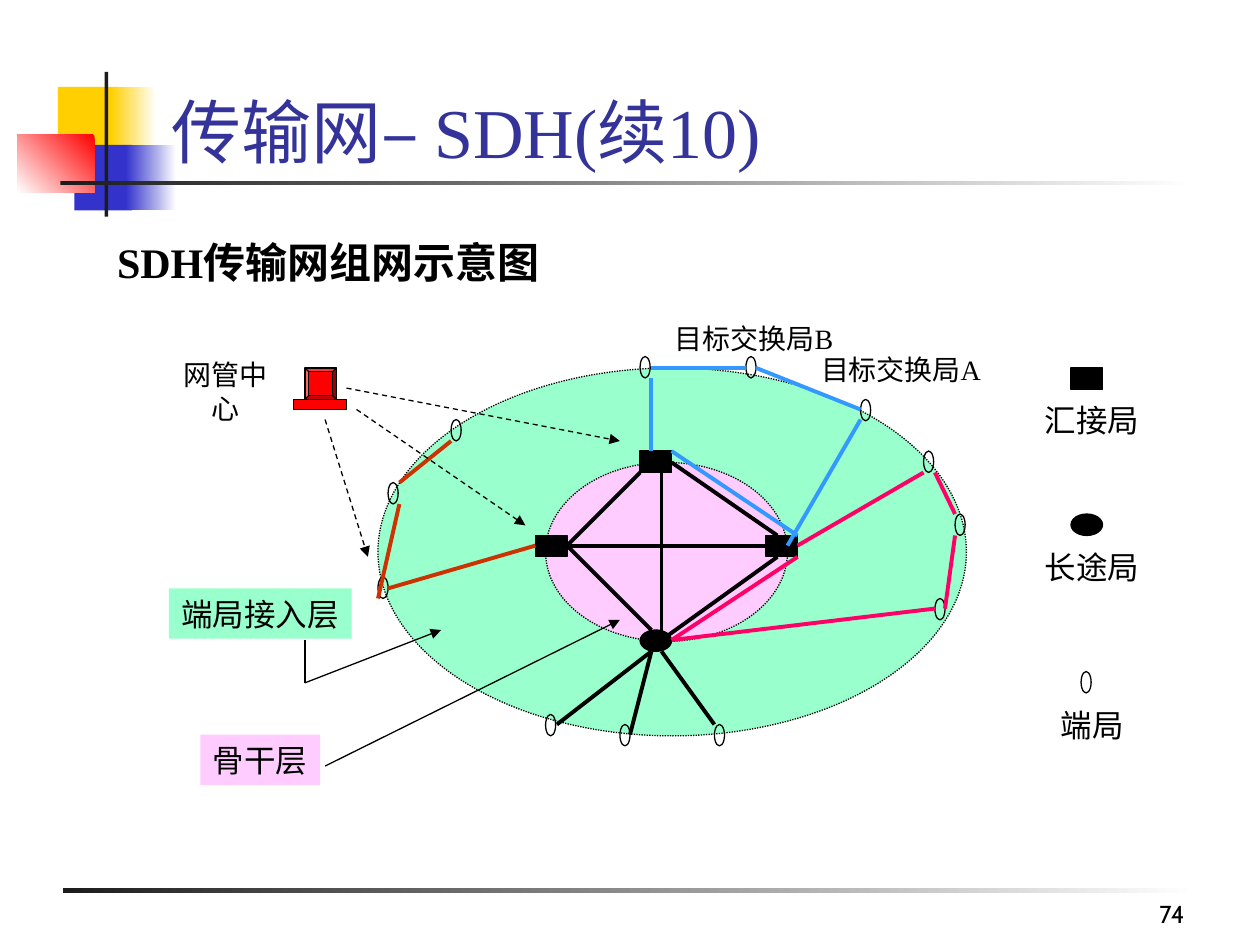
import pptx
import pptx.dml.color
import pptx.enum.dml
import pptx.enum.shapes
import pptx.enum.text
import pptx.oxml
import pptx.oxml.ns
import pptx.util

Inches, Pt = pptx.util.Inches, pptx.util.Pt
RGB = pptx.dml.color.RGBColor.from_string
MSO = pptx.enum.shapes.MSO_SHAPE
DASH = pptx.enum.dml.MSO_LINE
ALIGN = pptx.enum.text.PP_ALIGN
ANCHOR = pptx.enum.text.MSO_ANCHOR

THEME = {
    "black": "000000", "white": "FFFFFF", "dark": "1C1C1C",
    "yellow": "FFCF01", "indigo": "3333CC", "red": "FF0000", "title": "333399",
    "access": "99FFCC", "backbone": "FFCCFF",
    "blue": "3399FF", "pink": "FF0066", "rust": "CC3300",
    "font": "Times New Roman", "number_font": "Cabin",
    "title_size": 40, "heading_size": 24, "legend_size": 18,
    "label_size": 16, "number_size": 14,
    "thin": 0.75, "thick": 2.25,
}

prs = pptx.Presentation()
prs.slide_width, prs.slide_height = Inches(10), Inches(7.5)
slide = prs.slides.add_slide(prs.slide_layouts[5])


def add_shape(kind, box, fill=None, outlined=True, dash=None, fade_angle=None):
    """Add a shape; with fade_angle its fill fades to white in that direction."""
    s = slide.shapes.add_shape(kind, *map(Inches, box))
    s.shadow.inherit = False
    if fade_angle is not None:
        s.fill.gradient()
        s.fill.gradient_angle = fade_angle
        for stop, color in zip(s.fill.gradient_stops, (fill, "white")):
            stop.color.rgb = RGB(THEME[color])
    elif fill:
        s.fill.solid()
        s.fill.fore_color.rgb = RGB(THEME[fill])
    else:
        s.fill.background()
    if outlined:
        s.line.color.rgb = RGB(THEME["black"])
        s.line.width = Pt(THEME["thin"])
        if dash:
            s.line.dash_style = dash
    else:
        s.line.fill.background()


def add_line(x1, y1, x2, y2, color="black", width="thin", dash=None, arrow=False):
    c = slide.shapes.add_connector(pptx.enum.shapes.MSO_CONNECTOR.STRAIGHT,
                                   *map(Inches, (x1, y1, x2, y2)))
    c.line.color.rgb = RGB(THEME[color])
    c.line.width = Pt(THEME[width])
    if dash:
        c.line.dash_style = dash
    if arrow:
        ln = c.line._get_or_add_ln()
        ln.append(pptx.oxml.parse_xml(
            f'<a:tailEnd {pptx.oxml.ns.nsdecls("a")} type="triangle"/>'))
    c._element.spPr.append(pptx.oxml.parse_xml(
        f'<a:effectLst {pptx.oxml.ns.nsdecls("a")}/>'))


# Corner ornament and rules
for box, color, fade in [
    ((0.46, 0.69, 0.48, 0.52), "yellow", None),
    ((0.88, 0.69, 0.36, 0.52), "yellow", 0),
    ((0.59, 1.15, 0.46, 0.52), "indigo", None),
    ((1, 1.15, 0.4, 0.52), "indigo", 0),
    ((0.14, 1.07, 0.61, 0.46), "red", 225),
    ((0.83, 0.57, 0.03, 1.15), "dark", None),
    ((0.48, 1.44, 9, 0.03), "dark", 0),
    ((0.5, 7.05, 9, 0.04), "dark", 0),
]:
    add_shape(MSO.RECTANGLE, box, color, outlined=False, fade_angle=fade)

# Title
title = slide.shapes.title
title.left, title.top, title.width, title.height = map(Inches, (1.26, 0.25, 8.52, 1.17))
tf = title.text_frame
tf.text = "传输网– SDH(续10)"
tf.vertical_anchor = ANCHOR.BOTTOM
tf.auto_size = pptx.enum.text.MSO_AUTO_SIZE.NONE
p = tf.paragraphs[0]
p.alignment = ALIGN.LEFT
p.font.name = THEME["font"]
p.font.size = Pt(THEME["title_size"])
p.font.color.rgb = RGB(THEME["title"])

# Network layers
add_shape(MSO.OVAL, (3, 2.92, 4.67, 2.92), "access", dash=DASH.ROUND_DOT)
add_shape(MSO.OVAL, (4.33, 3.67, 1.92, 1.42), "backbone", dash=DASH.ROUND_DOT)

# Offices; the ones at x = 8.5 and beyond are the legend
for kind, x, y in [
    (MSO.RECTANGLE, 5.08, 3.58), (MSO.RECTANGLE, 4.25, 4.25),
    (MSO.RECTANGLE, 6.08, 4.25), (MSO.OVAL, 5.08, 5),
    (MSO.RECTANGLE, 8.5, 2.92), (MSO.OVAL, 8.5, 4.08),
]:
    add_shape(kind, (x, y, 0.25, 0.17), "black")
for x, y in [
    (6.83, 3.17), (7.33, 3.58), (7.58, 4.08), (7.42, 4.75), (5.92, 2.83), (5.08, 2.83),
    (3, 4.58), (3.08, 3.83), (3.58, 3.33), (4.33, 5.67), (4.92, 5.75), (5.67, 5.75),
    (8.58, 5.33),
]:
    add_shape(MSO.OVAL, (x, y, 0.08, 0.17))

# Transmission links
links = {
    "black": [
        (4.5, 4.33, 5.08, 3.75), (4.5, 4.33, 6.08, 4.33), (5.25, 3.75, 5.25, 5.08),
        (6.17, 4.42, 5.25, 5.08), (4.5, 4.33, 5.17, 5), (5.33, 3.67, 6.17, 4.25),
        (5.17, 5.17, 4.42, 5.75), (5.17, 5.17, 5, 5.83), (5.25, 5.17, 5.67, 5.75),
    ],
    "pink": [
        (7.42, 3.75, 7.58, 4.08), (7.58, 4.25, 7.5, 4.83), (5.33, 5.08, 7.42, 4.83),
        (6.33, 4.33, 7.33, 3.75), (5.33, 5.08, 6.33, 4.42),
    ],
    "blue": [
        (6.83, 3.33, 6.25, 4.33), (6, 2.92, 6.83, 3.25), (5.17, 2.92, 5.92, 2.92),
        (5.17, 3, 5.17, 3.58), (5.33, 3.58, 6.33, 4.25),
    ],
    "rust": [
        (3.08, 4.67, 4.25, 4.33), (3.17, 4, 3, 4.75), (3.17, 3.83, 3.58, 3.5),
    ],
}
for color, ends in links.items():
    for end in ends:
        add_line(*end, color=color, width="thick")

# Management centre and its control paths
add_shape(MSO.BEVEL, (2.42, 2.92, 0.25, 0.25), "red")
add_shape(MSO.RECTANGLE, (2.33, 3.17, 0.42, 0.08), "red")
for end in [(2.75, 3.08, 4.92, 3.5), (2.83, 3.25, 4.17, 4.17), (2.58, 3.33, 2.92, 4.42)]:
    add_line(*end, dash=DASH.DASH, arrow=True)

# Layer pointers
add_line(2.42, 5.42, 2.42, 5.08)
add_line(2.42, 5.42, 3.5, 5, arrow=True)
add_line(2.58, 6.08, 4.92, 4.92, arrow=True)

# Labels
for text, box, size, fill in [
    ("SDH传输网组网示意图", (0.79, 1.83, 3.63, 0.5), "heading_size", None),
    ("汇接局", (8.19, 3.13, 0.95, 0.4), "legend_size", None),
    ("长途局", (8.19, 4.3, 0.95, 0.4), "legend_size", None),
    ("端局", (8.32, 5.55, 0.7, 0.4), "legend_size", None),
    ("骨干层", (1.59, 5.83, 0.95, 0.4), "legend_size", "backbone"),
    ("端局接入层", (1.34, 4.67, 1.45, 0.4), "legend_size", "access"),
    ("网管中心", (1.25, 2.92, 1.08, 0.37), "label_size", None),
    ("目标交换局A", (6.39, 2.75, 1.52, 0.37), "label_size", None),
    ("目标交换局B", (5.23, 2.5, 1.51, 0.37), "label_size", None),
    ("74", (7.42, 6.92, 2.08, 0.5), "number_size", None),
]:
    is_number = size == "number_size"
    s = slide.shapes.add_textbox(*map(Inches, box))
    if fill:
        s.fill.solid()
        s.fill.fore_color.rgb = RGB(THEME[fill])
    tf = s.text_frame
    tf.text = text
    tf.word_wrap = is_number
    tf.vertical_anchor = ANCHOR.BOTTOM if is_number else ANCHOR.MIDDLE
    p = tf.paragraphs[0]
    p.alignment = ALIGN.RIGHT if is_number else ALIGN.CENTER
    p.font.name = THEME["number_font" if is_number else "font"]
    p.font.size = Pt(THEME[size])
    p.font.bold = size == "heading_size"
    p.font.color.rgb = RGB(THEME["black"])

prs.save("out.pptx")
